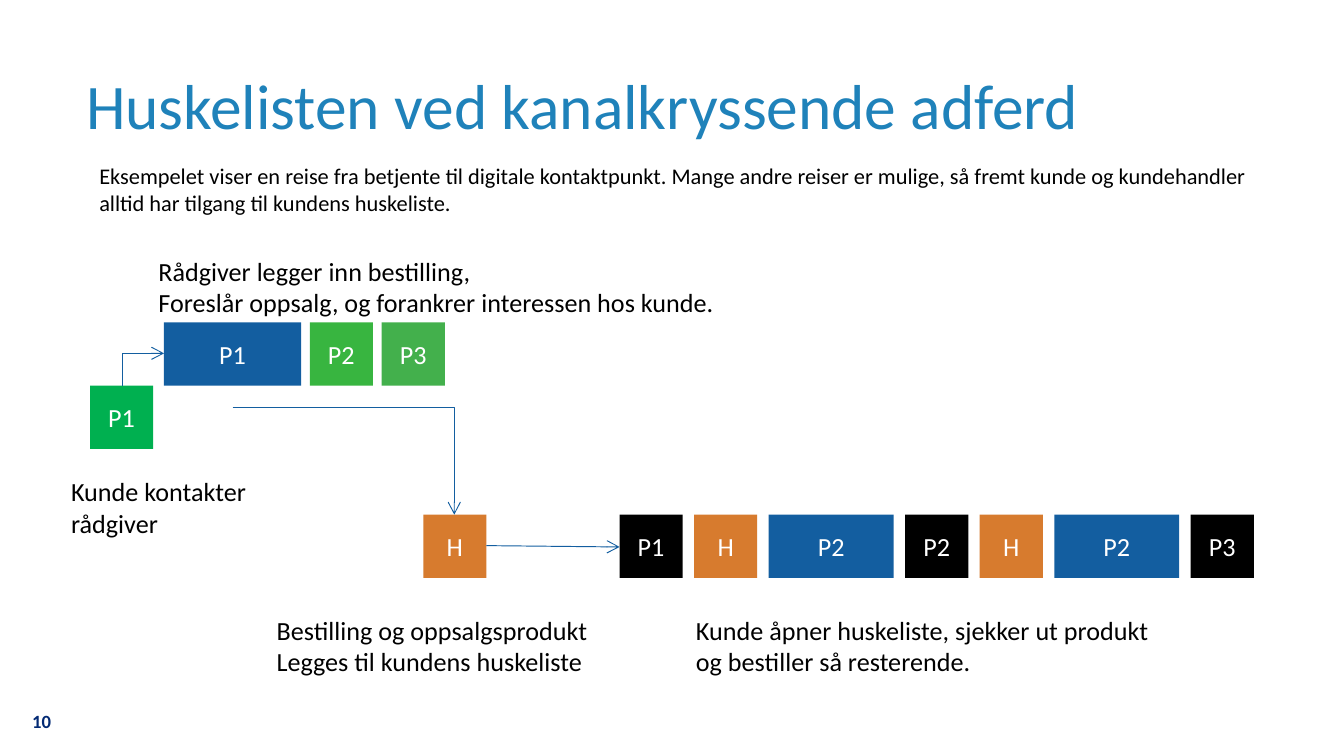
from lxml import etree
from pptx import Presentation
from pptx.dml.color import RGBColor
from pptx.enum.shapes import MSO_CONNECTOR, MSO_SHAPE
from pptx.enum.text import MSO_ANCHOR, PP_ALIGN
from pptx.oxml.ns import qn
from pptx.util import Inches, Pt

STRAIGHT, ELBOW = MSO_CONNECTOR.STRAIGHT, MSO_CONNECTOR.ELBOW
RECTANGLE = MSO_SHAPE.RECTANGLE
TOP, MIDDLE = MSO_ANCHOR.TOP, MSO_ANCHOR.MIDDLE
CENTER = PP_ALIGN.CENTER

FONT = "Calibri"
BLACK, WHITE = "000000", "FFFFFF"
BLUE, ORANGE = "135EA0", "D77B2E"
TITLE_BLUE, NAVY = "1F82BA", "032A74"
SQUARE, WIDE = 0.47, 0.93
ADVISER_TOP, LIST_TOP = 2.4, 3.83

ADVISER_ROW = [("P1", 1.02, BLUE), ("P2", SQUARE, "38B540"), ("P3", SQUARE, "43B04C")]
CUSTOMER_ROW = [
    ("P1", SQUARE, BLACK), ("H", SQUARE, ORANGE), ("P2", WIDE, BLUE),
    ("P2", SQUARE, BLACK), ("H", SQUARE, ORANGE), ("P2", WIDE, BLUE),
    ("P3", SQUARE, BLACK),
]
CAPTIONS = [
    (1.08, 1.85, 4.38,
     "Rådgiver legger inn bestilling,\nForeslår oppsalg, og forankrer interessen hos kunde."),
    (0.43, 3.49, 1.52, "Kunde kontakter\nrådgiver"),
    (1.96, 4.52, 2.54, "Bestilling og oppsalgsprodukt\nLegges til kundens huskeliste"),
    (5.08, 4.52, 3.61, "Kunde åpner huskeliste, sjekker ut produkt\nog bestiller så resterende."),
]


def color(hex_string):
    return RGBColor.from_string(hex_string)


def format_text(text_frame, size, text_color, bold=False):
    for paragraph in text_frame.paragraphs:
        for run in paragraph.runs:
            run.font.name = FONT
            run.font.size = Pt(size)
            run.font.bold = bold
            run.font.color.rgb = color(text_color)


def add_text(slide, left, top, width, height, text, size, text_color=BLACK,
             bold=False, wrap=False, inset=True, anchor=TOP):
    box = slide.shapes.add_textbox(Inches(left), Inches(top), Inches(width), Inches(height))
    text_frame = box.text_frame
    text_frame.word_wrap = wrap
    text_frame.vertical_anchor = anchor
    if not inset:
        text_frame.margin_left = text_frame.margin_right = 0
        text_frame.margin_top = text_frame.margin_bottom = 0
    text_frame.text = text
    format_text(text_frame, size, text_color, bold)
    return text_frame


def add_block(slide, left, top, width, label, fill):
    block = slide.shapes.add_shape(
        RECTANGLE, Inches(left), Inches(top), Inches(width), Inches(SQUARE))
    block.shadow.inherit = False
    block.fill.solid()
    block.fill.fore_color.rgb = color(fill)
    block.line.fill.background()
    text_frame = block.text_frame
    text_frame.vertical_anchor = MIDDLE
    text_frame.text = label
    text_frame.paragraphs[0].alignment = CENTER
    format_text(text_frame, 14, WHITE)


def add_row(slide, left, right, top, blocks):
    """Spread the blocks from left to right with equal gaps."""
    total_width = sum(width for _, width, _ in blocks)
    gap = (right - left - total_width) / (len(blocks) - 1)
    for label, width, fill in blocks:
        add_block(slide, left, top, width, label, fill)
        left += width + gap


def add_line(slide, start, end, kind=STRAIGHT, arrow=True):
    points = [Inches(value) for value in (*start, *end)]
    connector = slide.shapes.add_connector(kind, *points)
    connector.line.color.rgb = color(BLUE)
    connector.line.width = Pt(0.5)
    properties = connector._element.spPr
    etree.SubElement(properties, qn("a:effectLst"))
    if arrow:
        etree.SubElement(properties.find(qn("a:ln")), qn("a:tailEnd"), type="arrow")
    return connector


def add_bent_arrow(slide, start, end, upright_start=False):
    """Draw one right-angled bend, starting sideways or, turned by 90 degrees, upright."""
    if upright_start:
        center_x, center_y = (start[0] + end[0]) / 2, (start[1] + end[1]) / 2
        offset_x, offset_y = start[0] - center_x, start[1] - center_y
        start = (center_x + offset_y, center_y - offset_x)
        end = (center_x - offset_y, center_y + offset_x)
    properties = add_line(slide, start, end, ELBOW)._element.spPr
    properties.find(qn("a:prstGeom")).set("prst", "bentConnector2")
    if upright_start:
        properties.find(qn("a:xfrm")).set("rot", str(90 * 60000))


def main():
    presentation = Presentation()
    presentation.slide_width = Inches(10)
    presentation.slide_height = presentation.slide_width * 9 // 16
    slide = presentation.slides.add_slide(presentation.slide_layouts[6])

    title = add_text(slide, 0.64, 0.59, 8.72, 0.47, "Huskelisten ved kanalkryssende adferd",
                     34, TITLE_BLUE, wrap=True, inset=False, anchor=MIDDLE)
    title.paragraphs[0].line_spacing = 0.8
    add_text(slide, 0.64, 1.16, 8.85, 0.5,
             "Eksempelet viser en reise fra betjente til digitale kontaktpunkt. "
             "Mange andre reiser er mulige, så fremt kunde og kundehandler "
             "alltid har tilgang til kundens huskeliste.", 12, wrap=True)
    add_text(slide, 0.24, 5.28, 0.17, 0.17, "10", 10, NAVY, bold=True, inset=False)
    for left, top, width, text in CAPTIONS:
        add_text(slide, left, top, width, 0.57, text, 14)

    add_block(slide, 0.67, 2.87, SQUARE, "P1", "00B050")
    add_row(slide, 1.22, 3.31, ADVISER_TOP, ADVISER_ROW)
    add_block(slide, 3.15, LIST_TOP, SQUARE, "H", ORANGE)
    add_row(slide, 4.61, 9.33, LIST_TOP, CUSTOMER_ROW)

    add_bent_arrow(slide, (0.91, 2.87), (1.22, 2.63), upright_start=True)
    add_line(slide, (1.73, 3.03), (2.95, 3.03), arrow=False)
    add_bent_arrow(slide, (2.34, 3.03), (3.38, LIST_TOP))
    add_line(slide, (3.62, 4.06), (4.61, 4.07))

    presentation.save("out.pptx")


if __name__ == "__main__":
    main()
